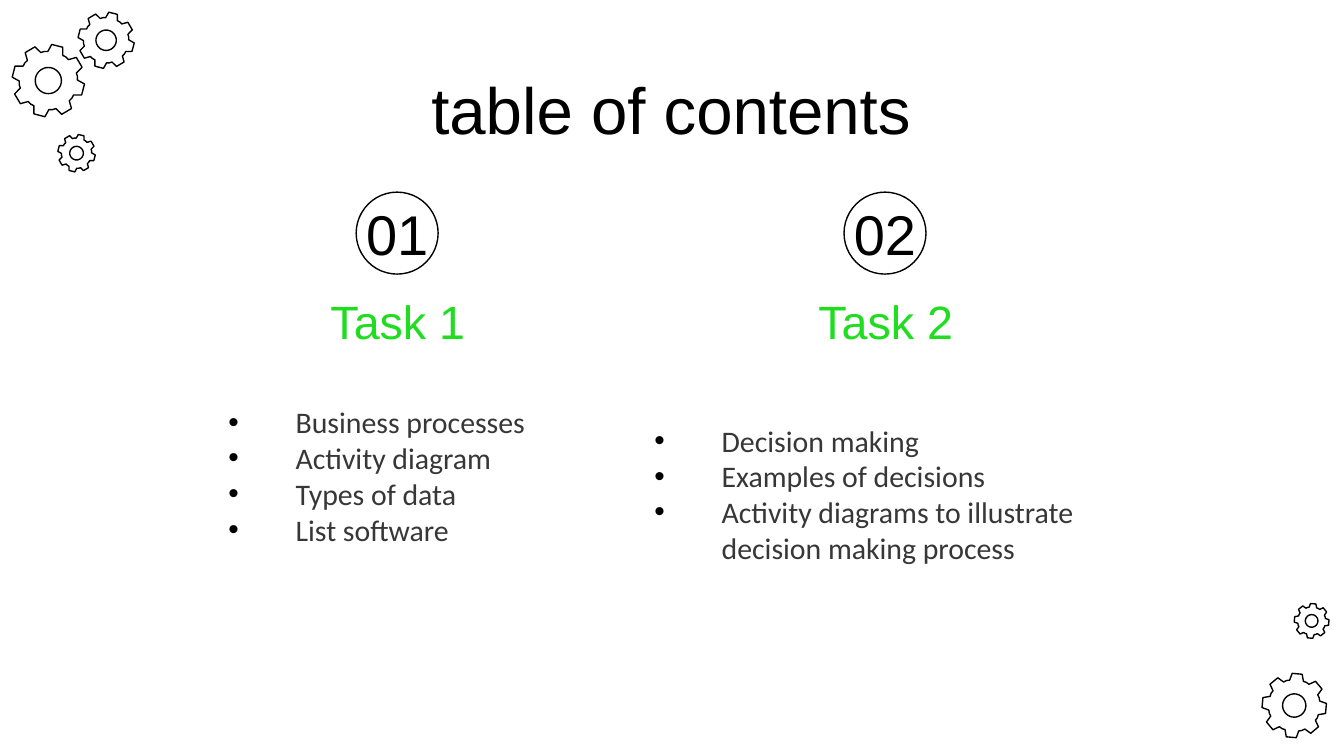
from dataclasses import dataclass
from math import cos, radians, sin

from lxml import etree
from pptx import Presentation
from pptx.dml.color import RGBColor
from pptx.enum.shapes import MSO_SHAPE
from pptx.enum.text import MSO_ANCHOR, PP_ALIGN
from pptx.oxml.ns import qn
from pptx.util import Inches, Pt

OVAL = MSO_SHAPE.OVAL
MIDDLE = MSO_ANCHOR.MIDDLE
LEFT, CENTER, JUSTIFY = PP_ALIGN.LEFT, PP_ALIGN.CENTER, PP_ALIGN.JUSTIFY


@dataclass(frozen=True)
class Theme:
    """Colours, fonts and type sizes of the slide."""
    black: RGBColor = RGBColor(0, 0, 0)
    white: RGBColor = RGBColor(255, 255, 255)
    green: RGBColor = RGBColor(0x20, 0xDD, 0x20)
    gray: RGBColor = RGBColor(0x37, 0x37, 0x37)
    heading_font: str = "Arial"
    body_font: str = "Calibri"
    title_size: int = 35
    number_size: int = 30
    task_size: int = 25
    body_size: int = 16
    line_width: float = 0.75


THEME = Theme()

GEARS = [
    (0.79, 0.3, 0.21, -75.6, 0),
    (0.57, 1.14, 0.14, -75.6, 0),
    (0.36, 0.6, 0.27, -75.6, 0),
    (9.76, 4.62, 0.13, -103.4, 333.7),
    (9.63, 5.25, 0.24, -103.4, 333.7),
]

TASKS = [
    (1.7, "01", "Task 1", (1.7, 2.81, 2.52, 1.46), [
        ("Business processes", LEFT),
        ("Activity diagram", LEFT),
        ("Types of data", LEFT),
        ("List software", LEFT),
    ]),
    (5.33, "02", "Task 2", (4.87, 2.81, 3.43, 1.73), [
        ("Decision making", JUSTIFY),
        ("Examples of decisions", JUSTIFY),
        ("Activity diagrams to illustrate decision making process", LEFT),
    ]),
]


def set_outline(shape):
    """Give a shape the thin black outline and no shadow."""
    shape.shadow.inherit = False
    shape.line.color.rgb = THEME.black
    shape.line.width = Pt(THEME.line_width)


def add_text(slide, box, lines, font_name, size, color):
    """Add a text box of (text, alignment) lines and return its paragraphs."""
    frame = slide.shapes.add_textbox(*map(Inches, box)).text_frame
    frame.word_wrap = True
    frame.vertical_anchor = MIDDLE
    frame.margin_left = frame.margin_right = 0
    frame.margin_top = frame.margin_bottom = 0
    frame.text = "\n".join(text for text, _ in lines)
    for paragraph, (_, alignment) in zip(frame.paragraphs, lines):
        paragraph.alignment = alignment
        paragraph.font.name = font_name
        paragraph.font.size = Pt(size)
        paragraph.font.color.rgb = color
    return frame.paragraphs


def add_heading(slide, box, text, size, color):
    """Add one centred line in the heading font."""
    add_text(slide, box, [(text, CENTER)], THEME.heading_font, size, color)


def add_bullet(paragraph):
    """Give a paragraph a black bullet and a half-inch hanging indent."""
    properties = paragraph._p.get_or_add_pPr()
    properties.set("marL", str(Inches(0.5)))
    properties.set("indent", str(-Inches(0.5)))
    bullet_color = etree.SubElement(properties, qn("a:buClr"))
    etree.SubElement(bullet_color, qn("a:srgbClr"), val=str(THEME.black))
    etree.SubElement(properties, qn("a:buFont"), typeface="Arial")
    etree.SubElement(properties, qn("a:buChar"), char="•")


def add_gear(slide, center_x, center_y, radius, tooth_angle, rotation):
    """Draw an eight-toothed gear with a round hole."""
    def point(angle, ratio):
        distance = radius * ratio
        return (Inches(center_x + distance * cos(radians(angle))),
                Inches(center_y + distance * sin(radians(angle))))

    tooth = [(-15.5, 0.8), (-9, 1), (9, 1), (15.5, 0.8), (22.5, 0.81)]
    rim = [point(tooth_angle + 45 * index + offset, ratio)
           for index in range(8) for offset, ratio in tooth]
    hole = [point(angle, 0.36) for angle in range(0, 360, 10)]
    builder = slide.shapes.build_freeform(*hole[0], scale=1.0)
    builder.add_line_segments(hole[1:], close=True)
    builder.move_to(*rim[0])
    builder.add_line_segments(rim[1:], close=True)
    gear = builder.convert_to_shape()
    gear.fill.background()
    set_outline(gear)
    gear.rotation = rotation


def add_task(slide, left, number, name, list_box, items):
    """Add a numbered circle, its task name and the bulleted topics."""
    badge_left = left + 0.95
    badge = slide.shapes.add_shape(
        OVAL, *map(Inches, (badge_left, 1.43, 0.61, 0.61)))
    badge.fill.solid()
    badge.fill.fore_color.rgb = THEME.white
    set_outline(badge)
    add_heading(slide, (badge_left, 1.51, 0.61, 0.45), number,
                THEME.number_size, THEME.black)
    add_heading(slide, (left, 2.1, 2.52, 0.58), name,
                THEME.task_size, THEME.green)
    for paragraph in add_text(slide, list_box, items, THEME.body_font,
                              THEME.body_size, THEME.gray):
        add_bullet(paragraph)


def main():
    """Build the table of contents slide and save it."""
    presentation = Presentation()
    presentation.slide_width = Inches(10)
    presentation.slide_height = Inches(10 * 9 / 16)
    slide = presentation.slides.add_slide(presentation.slide_layouts[6])
    for gear in GEARS:
        add_gear(slide, *gear)
    add_heading(slide, (1.53, 0.49, 6.93, 0.63), "table of contents",
                THEME.title_size, THEME.black)
    for task in TASKS:
        add_task(slide, *task)
    presentation.save("out.pptx")


if __name__ == "__main__":
    main()
